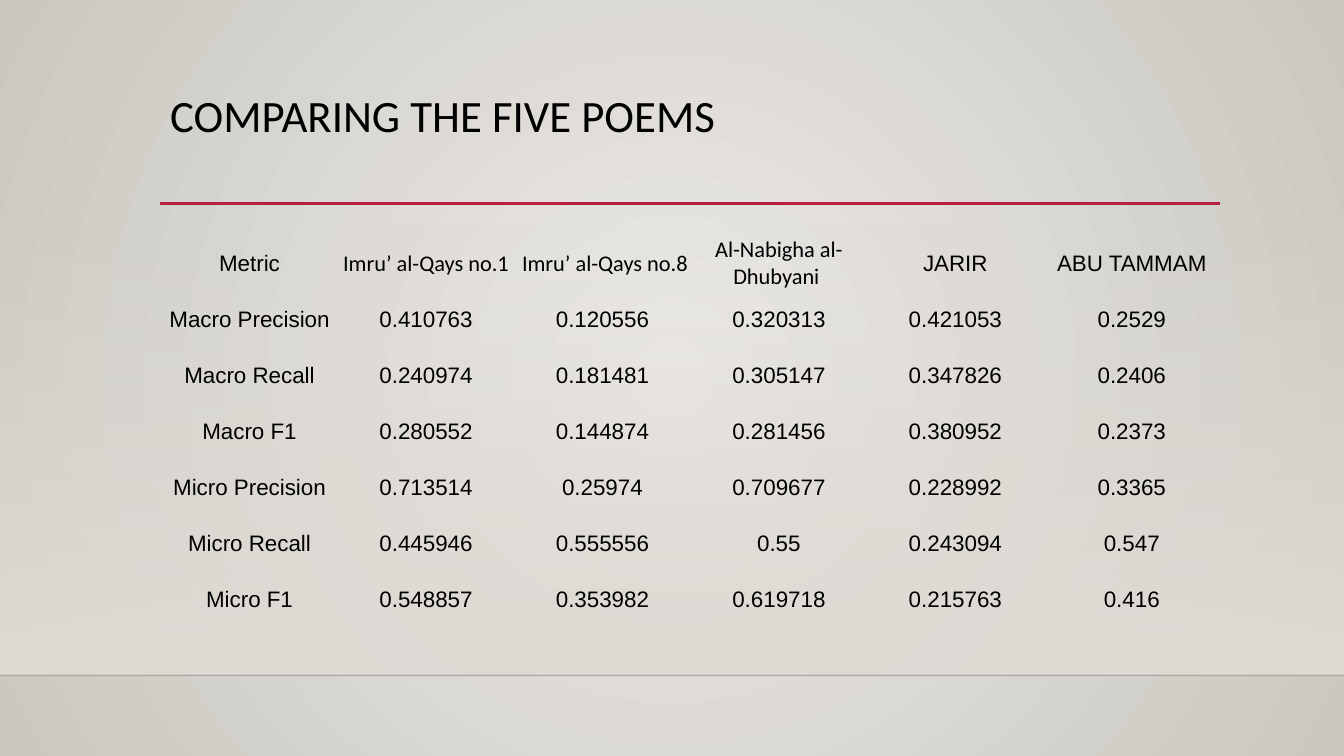
from dataclasses import dataclass

from lxml.etree import SubElement
from pptx import Presentation
from pptx.dml.color import RGBColor
from pptx.enum.shapes import MSO_CONNECTOR, MSO_SHAPE
from pptx.enum.text import MSO_ANCHOR, PP_ALIGN
from pptx.oxml.ns import qn
from pptx.util import Inches, Pt


@dataclass(frozen=True)
class Theme:
    text: str = "000000"
    accent: str = "B71E42"
    floor_edge: str = "000001"
    wall: str = "DFDBD5"
    glow: str = "ECEAE7"
    rim: str = "CAC7C1"
    heading_font: str = "Calibri"
    body_font: str = "Arial"
    title_size: int = 32
    table_size: int = 16


THEME = Theme()
NO_GRID_STYLE = "{2D5ABB26-0587-4C30-8999-92F81FD0307C}"
HEADINGS = ["Metric", "Imru’ al-Qays no.1", " Imru’ al-Qays no.8",
            "Al-Nabigha al-Dhubyani ", "JARIR", "ABU TAMMAM"]
POEM_COLUMNS_IN_HEADING_FONT = (1, 2, 3)
SCORES = [
    ["Macro Precision", "0.410763", "0.120556", "0.320313", "0.421053", "0.2529"],
    ["Macro Recall", "0.240974", "0.181481", "0.305147", "0.347826", "0.2406"],
    ["Macro F1", "0.280552", "0.144874", "0.281456", "0.380952", "0.2373"],
    ["Micro Precision", "0.713514", "0.25974", "0.709677", "0.228992", "0.3365"],
    ["Micro Recall", "0.445946", "0.555556", "0.55", "0.243094", "0.547"],
    ["Micro F1", "0.548857", "0.353982", "0.619718", "0.215763", "0.416"],
]


def apply_format(target, values):
    for name, value in values.items():
        setattr(target, name, value)


def write_text(paragraph, text, font_name, size):
    run = paragraph.add_run()
    run.text = text
    apply_format(run.font, {"name": font_name, "size": Pt(size), "bold": False})
    run.font.color.rgb = RGBColor.from_string(THEME.text)


def set_gradient(fill, colors):
    fill.gradient()
    for stop, color in zip(fill.gradient_stops, colors):
        stop.color.rgb = RGBColor.from_string(color)


def set_alpha(color_element, percent):
    SubElement(color_element, qn("a:alpha"), val=str(percent * 1000))


def add_rule(slide, left, top, width, color, weight):
    connector = slide.shapes.add_connector(
        MSO_CONNECTOR.STRAIGHT, left, top, left + width, top)
    connector.line.width = Pt(weight)
    connector.line.color.rgb = RGBColor.from_string(color)
    SubElement(connector.element.spPr, qn("a:effectLst"))
    return connector


def paint_background(slide):
    set_gradient(slide.background.fill, (THEME.glow, THEME.rim))
    gradient = slide.element.find(".//" + qn("a:gradFill"))
    gradient.remove(gradient.find(qn("a:lin")))
    circle = SubElement(gradient, qn("a:path"), path="circle")
    SubElement(circle, qn("a:fillToRect"),
               {side: "50000" for side in ("l", "t", "r", "b")})


def add_wall(slide, left, top, width, height):
    wall = slide.shapes.add_shape(MSO_SHAPE.RECTANGLE, left, top, width, height)
    wall.shadow.inherit = False
    wall.line.fill.background()
    set_gradient(wall.fill, (THEME.wall, THEME.wall))
    wall.fill.gradient_angle = 270
    set_alpha(wall.element.spPr.find(".//" + qn("a:srgbClr")), 0)
    edge = add_rule(slide, left, top + height, width, THEME.floor_edge, 1)
    set_alpha(edge.element.spPr.find(".//" + qn("a:srgbClr")), 20)


def add_title(slide, left, top, width, height):
    add_rule(slide, left, top + height - Inches(0.01), width + Inches(0.01),
             THEME.accent, 2.5)
    frame = slide.shapes.add_textbox(left, top, width, height).text_frame
    apply_format(frame, {"word_wrap": True, "vertical_anchor": MSO_ANCHOR.TOP})
    paragraph = frame.paragraphs[0]
    paragraph.line_spacing = 0.9
    write_text(paragraph, "COMPARING THE FIVE POEMS",
               THEME.heading_font, THEME.title_size)


def add_scores(slide, left, top, width, height):
    rows = [HEADINGS] + SCORES
    frame = slide.shapes.add_table(
        len(rows), len(HEADINGS), left, top, width, height)
    table = frame.table
    apply_format(table, {"first_row": False, "horz_banding": False})
    frame.element.find(".//" + qn("a:tableStyleId")).text = NO_GRID_STYLE
    cell_format = {
        "vertical_anchor": MSO_ANCHOR.MIDDLE,
        "margin_left": Inches(0.01), "margin_top": Inches(0.01),
        "margin_right": Inches(0.01), "margin_bottom": 0,
    }
    for row_index, row in enumerate(rows):
        for column_index, text in enumerate(row):
            cell = table.cell(row_index, column_index)
            apply_format(cell, cell_format)
            cell.fill.background()
            paragraph = cell.text_frame.paragraphs[0]
            paragraph.alignment = PP_ALIGN.CENTER
            is_poem = row_index == 0 and column_index in POEM_COLUMNS_IN_HEADING_FONT
            font_name = THEME.heading_font if is_poem else THEME.body_font
            write_text(paragraph, text, font_name, THEME.table_size)


def main():
    presentation = Presentation()
    apply_format(presentation, {"slide_width": Inches(13.33),
                                "slide_height": Inches(7.5)})
    slide = presentation.slides.add_slide(presentation.slide_layouts[6])
    paint_background(slide)
    add_wall(slide, 0, Inches(2.21), presentation.slide_width, Inches(4.49))
    add_title(slide, Inches(1.59), Inches(0.88), Inches(10.5), Inches(1.15))
    add_scores(slide, Inches(1.6), Inches(2.33), Inches(10.5), Inches(3.89))
    presentation.save("out.pptx")


if __name__ == "__main__":
    main()
